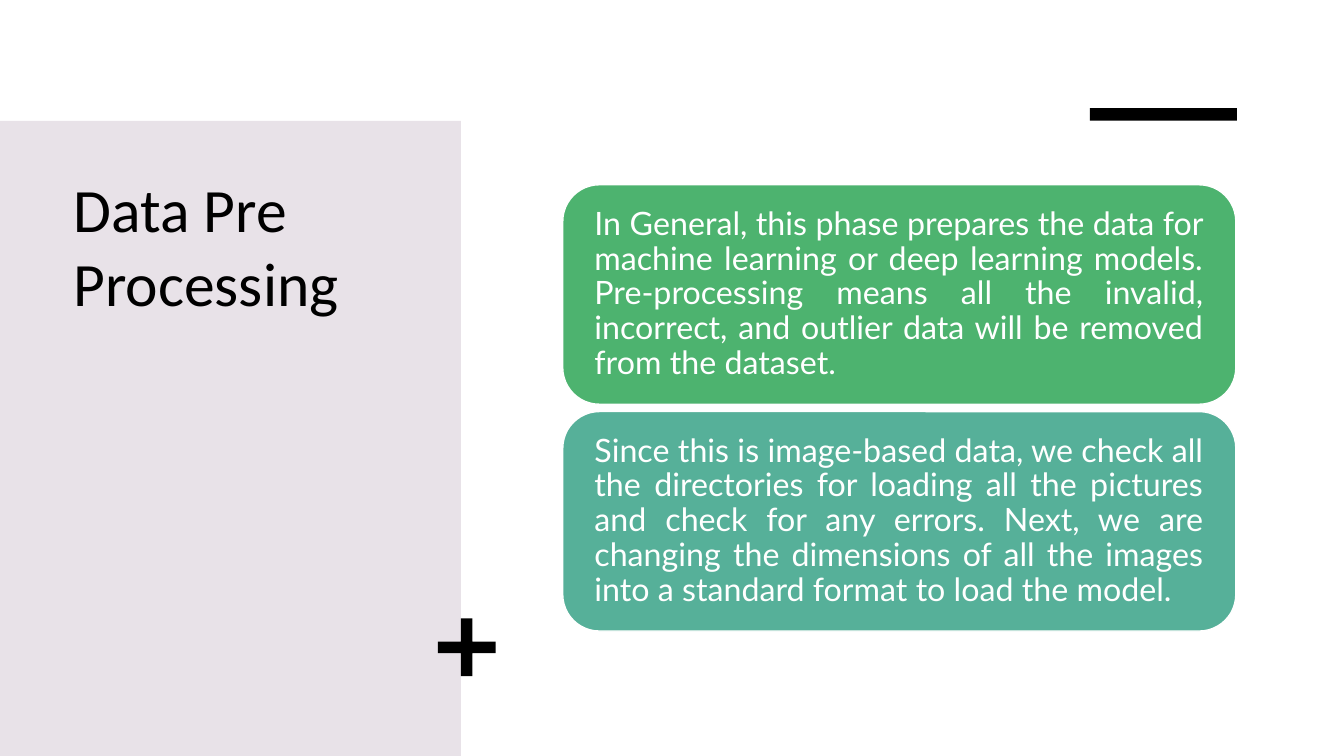
from pptx import Presentation
from pptx.dml.color import RGBColor
from pptx.enum.shapes import MSO_SHAPE
from pptx.enum.text import MSO_ANCHOR, PP_ALIGN
from pptx.util import Emu, Pt

RECT, ROUND, PLUS = MSO_SHAPE.RECTANGLE, MSO_SHAPE.ROUNDED_RECTANGLE, MSO_SHAPE.CROSS
TOP, MIDDLE = MSO_ANCHOR.TOP, MSO_ANCHOR.MIDDLE
LEFT, JUSTIFY = PP_ALIGN.LEFT, PP_ALIGN.JUSTIFY

PX = 9525  # EMU per px, 96 px to the inch
BLACK, WHITE, LILAC = "000000", "FFFFFF", "E8E2E8"


def px(n):
    return Emu(n * PX)


def rgb(value):
    return RGBColor.from_string(value)


class Deck:
    title_font, body_font = "Calibri", "Lato"

    def __init__(self, width, height):
        self.prs = Presentation()
        self.prs.slide_width, self.prs.slide_height = px(width), px(height)
        self.s = self.prs.slides.add_slide(self.prs.slide_layouts[6])

    def shape(self, kind, x, y, w, h, fill, line=None):
        sp = self.s.shapes.add_shape(kind, px(x), px(y), px(w), px(h))
        sp.shadow.inherit = False
        sp.fill.solid()
        sp.fill.fore_color.rgb = rgb(fill)
        if line:
            sp.line.color.rgb = rgb(line)
            sp.line.width = Pt(1)
        else:
            sp.line.fill.background()
        return sp

    def label(self, sp, text, font, size, color, align, anchor, inset):
        tf = sp.text_frame
        tf.word_wrap = True
        tf.vertical_anchor = anchor
        tf.margin_left = tf.margin_right = px(inset)
        tf.margin_top = tf.margin_bottom = px(inset // 2)
        p = tf.paragraphs[0]
        p.text = text
        p.alignment = align
        p.font.name, p.font.size = font, Pt(size)
        p.font.color.rgb = rgb(color)
        return p

    def title(self, x, y, w, h, text):
        sp = self.s.shapes.add_textbox(px(x), px(y), px(w), px(h))
        self.label(sp, text, self.title_font, 44, BLACK, LEFT, TOP, 10)

    def card(self, x, y, w, h, fill, text):
        sp = self.shape(ROUND, x, y, w, h, fill, WHITE)
        p = self.label(sp, text, self.body_font, 23, WHITE, JUSTIFY, MIDDLE, 20)
        p.line_spacing = 0.9


def main():
    deck = Deck(1280, 720)

    # Side panel with the title
    deck.shape(RECT, 0, 115, 439, 605, LILAC)
    deck.title(60, 158, 336, 422, "Data Pre Processing")

    # Black accents
    deck.shape(RECT, 1038, 103, 140, 12, BLACK)
    plus = deck.shape(PLUS, 417, 589, 55, 55, BLACK)
    plus.adjustments[0] = 0.4

    # Stacked cards
    cards = [
        ("4DB36F", "In General, this phase prepares the data for machine learning "
                   "or deep learning models. Pre-processing means all the invalid, "
                   "incorrect, and outlier data will be removed from the dataset."),
        ("56B099", "Since this is image-based data, we check all the directories "
                   "for loading all the pictures and check for any errors. Next, we "
                   "are changing the dimensions of all the images into a standard "
                   "format to load the model."),
    ]
    for i, (fill, text) in enumerate(cards):
        deck.card(536, 176 + 216 * i, 641, 209, fill, text)

    deck.prs.save("out.pptx")


if __name__ == "__main__":
    main()
